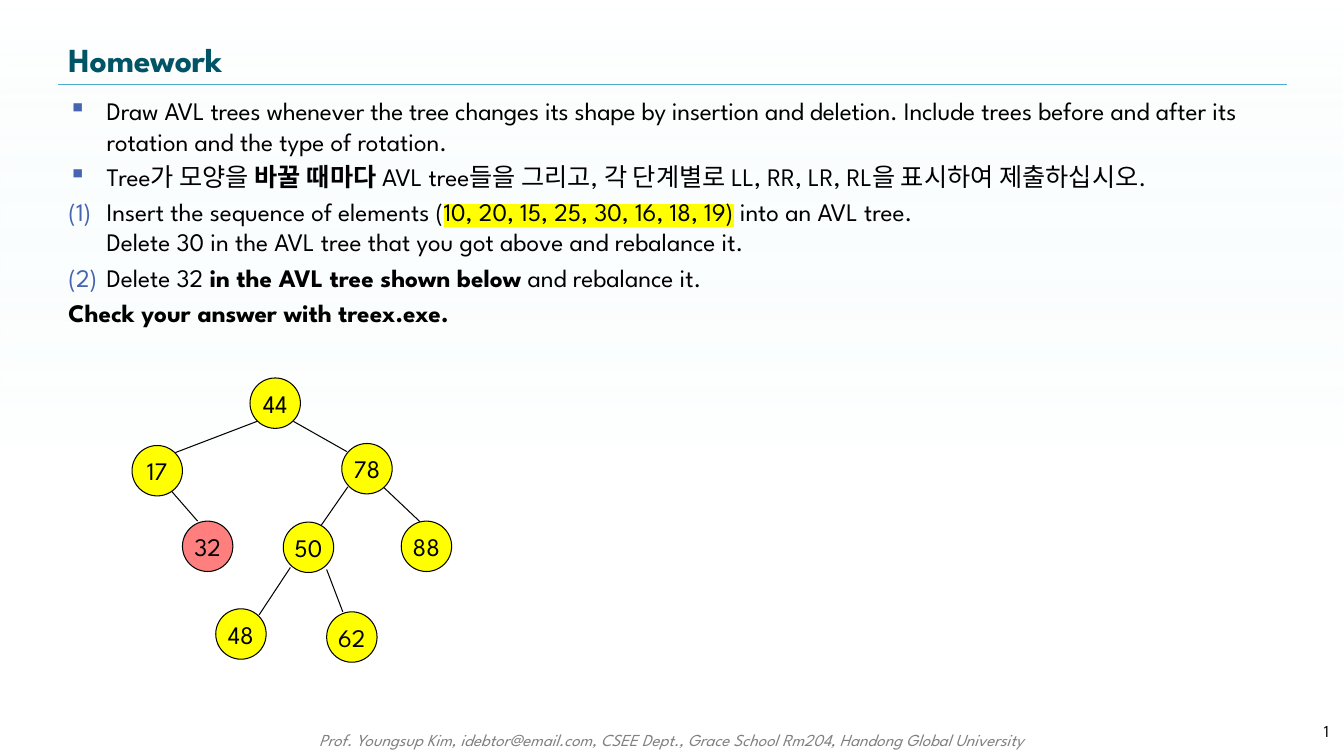
from dataclasses import dataclass

from lxml.etree import SubElement
from pptx import Presentation
from pptx.dml.color import RGBColor
from pptx.enum.shapes import MSO_CONNECTOR, MSO_SHAPE
from pptx.enum.text import MSO_ANCHOR, PP_ALIGN
from pptx.oxml.ns import qn
from pptx.util import Inches, Pt


@dataclass(frozen=True)
class Theme:
    font: str = "League Spartan"
    title: str = "005466"
    text: str = "000000"
    foot: str = "808080"
    bullet: str = "4764B0"
    rule: str = "4FADD1"
    mark: str = "FFFF00"
    node: str = "FFFF00"
    gone: str = "FF0000"
    edge: str = "010101"
    tint: str = "D9F3F4"
    white: str = "FFFFFF"
    head_size: float = 24
    body_size: float = 18
    foot_size: float = 12


THEME = Theme()
TITLE = "Homework"
FOOT = ("Prof. Youngsup Kim, idebtor@email.com, CSEE Dept., "
        "Grace School Rm204, Handong Global University")
PAGE = "1"

# Each paragraph: bullet kind, then (text, style) runs
BODY = [
    ("square", [("Draw AVL trees whenever the tree changes its shape by insertion "
                 "and deletion. Include", "tight"),
                (" trees before and after its rotation and the type of rotation.", "")]),
    ("square", [("Tree가 모양을 ", ""), ("바꿀 때마다 ", "bold"),
                ("AVL tree들을 그리고, 각 단계별로 LL, RR, LR, RL을 "
                 "표시하여 제출하십시오.", "")]),
    ("number", [("Insert the sequence of elements (", ""),
                ("10, 20, 15, 25, 30, 16, 18, 19)", "mark"),
                (" into an AVL tree. \vDelete 30 in the AVL tree that you got above "
                 "and rebalance it.", "")]),
    ("number", [("Delete 32 ", ""), ("in the AVL tree shown below", "bold"),
                (" and rebalance it.", "")]),
    ("", [("Check your answer with treex.exe.", "bold")]),
]

# Node centres and edge ends, in inches
NODES = {
    44: (2.73, 4.0), 17: (1.56, 4.67), 78: (3.64, 4.65), 32: (2.06, 5.42),
    50: (3.06, 5.43), 88: (4.23, 5.42), 48: (2.39, 6.29), 62: (3.49, 6.32),
}
EDGES = [
    (2.55, 4.18, 1.74, 4.49), (2.91, 4.18, 3.44, 4.48),
    (1.69, 4.86, 1.96, 5.17), (3.45, 4.83, 3.18, 5.22),
    (3.8, 4.83, 4.17, 5.18), (2.88, 5.63, 2.57, 6.1),
    (3.24, 5.65, 3.4, 6.07),
]
TARGET = 32
SIZE = 0.5
WIDE, HIGH = 13.33, 7.5
LEFT, SPAN = 0.58, 12.18


def color(code):
    return RGBColor.from_string(code)


def fade(fill, percent):
    """Set the opacity of every colour inside a fill element."""
    for rgb in fill.iter(qn("a:srgbClr")):
        SubElement(rgb, qn("a:alpha"), val=str(percent * 1000))


def style(font, size, code):
    font.name = THEME.font
    font.size = Pt(size)
    font.color.rgb = color(code)


def add_box(slide, x, y, w, h, anchor=MSO_ANCHOR.TOP):
    frame = slide.shapes.add_textbox(*map(Inches, (x, y, w, h))).text_frame
    frame.word_wrap = True
    frame.vertical_anchor = anchor
    return frame


def add_label(slide, box, text, size, code, align, anchor=MSO_ANCHOR.TOP):
    frame = add_box(slide, *box, anchor)
    frame.text = text
    para = frame.paragraphs[0]
    para.alignment = align
    font = para.runs[0].font
    style(font, size, code)
    return font


def add_line(slide, ends, code, width):
    line = slide.shapes.add_connector(MSO_CONNECTOR.STRAIGHT, *map(Inches, ends))
    line.line.color.rgb = color(code)
    line.line.width = Pt(width)
    SubElement(line.element.spPr, qn("a:effectLst"))


def add_bullet(para, kind):
    props = para._p.get_or_add_pPr()
    props.set("marL", str(Inches(0.38)))
    props.set("indent", str(Inches(-0.38)))
    tone = SubElement(props, qn("a:buClr"))
    SubElement(tone, qn("a:srgbClr"), val=THEME.bullet)
    if kind == "square":
        SubElement(props, qn("a:buChar"), char="▪")
    else:
        SubElement(props, qn("a:buAutoNum"), type="arabicParenBoth")


def add_body(slide):
    frame = add_box(slide, LEFT, 0.9, SPAN, 6)
    frame.text = "\n".join("" for _ in BODY)
    for index, (para, (kind, runs)) in enumerate(zip(frame.paragraphs, BODY)):
        if kind:
            add_bullet(para, kind)
        if index:
            para.space_before = Pt(THEME.body_size * 0.2)
        for text, look in runs:
            for part, line in enumerate(text.split("\v")):
                if part:
                    para.add_line_break()
                run = para.add_run()
                run.text = line
                style(run.font, THEME.body_size, THEME.text)
                run.font.bold = look == "bold"
                props = run._r.get_or_add_rPr()
                if look == "tight":
                    props.set("spc", "-10")
                if look == "mark":
                    mark = SubElement(props, qn("a:highlight"))
                    SubElement(mark, qn("a:srgbClr"), val=THEME.mark)
                    props.find(qn("a:solidFill")).addnext(mark)


def add_node(slide, key, x, y):
    box = (x - SIZE / 2, y - SIZE / 2, SIZE, SIZE)
    node = slide.shapes.add_shape(MSO_SHAPE.OVAL, *map(Inches, box))
    node.shadow.inherit = False
    node.fill.solid()
    node.fill.fore_color.rgb = color(THEME.gone if key == TARGET else THEME.node)
    if key == TARGET:
        fade(node.element.spPr.find(qn("a:solidFill")), 50)
    node.line.color.rgb = color(THEME.edge)
    node.line.width = Pt(0.75)
    frame = node.text_frame
    frame.margin_left = frame.margin_right = frame.margin_top = frame.margin_bottom = 0
    frame.vertical_anchor = MSO_ANCHOR.MIDDLE
    frame.word_wrap = False
    frame.text = str(key)
    para = frame.paragraphs[0]
    para.alignment = PP_ALIGN.CENTER
    style(para.runs[0].font, THEME.body_size, THEME.text)


def add_back(slide):
    back = slide.shapes.add_shape(MSO_SHAPE.RECTANGLE, 0, 0, Inches(WIDE), Inches(HIGH))
    back.shadow.inherit = False
    back.line.fill.background()
    back.fill.gradient()
    back.fill.gradient_angle = 270
    tones = [(0, THEME.tint, 0), (0.61, THEME.white, 40)]
    for stop, (place, code, alpha) in zip(back.fill.gradient_stops, tones):
        stop.position = place
        stop.color.rgb = color(code)
    for item, (place, code, alpha) in zip(back.element.spPr.iter(qn("a:gs")), tones):
        fade(item, alpha)


def main():
    deck = Presentation()
    deck.slide_width, deck.slide_height = Inches(WIDE), Inches(HIGH)
    slide = deck.slides.add_slide(deck.slide_layouts[6])
    add_back(slide)
    add_label(slide, (1.98, 7.19, 9.37, 0.3), FOOT, THEME.foot_size, THEME.foot,
              PP_ALIGN.CENTER).italic = True
    add_line(slide, (LEFT, 0.84, LEFT + SPAN, 0.84), THEME.rule, 0.25)
    add_body(slide)
    head = add_label(slide, (LEFT, 0.34, SPAN, 0.5), TITLE, THEME.head_size,
                     THEME.title, PP_ALIGN.LEFT, MSO_ANCHOR.MIDDLE)
    head.bold = True
    head._element.set("spc", "-10")
    add_label(slide, (12.11, 7.05, 1.17, 0.4), PAGE, THEME.foot_size, THEME.text,
              PP_ALIGN.RIGHT, MSO_ANCHOR.MIDDLE)
    for ends in EDGES:
        add_line(slide, ends, THEME.edge, 0.75)
    for key, (x, y) in NODES.items():
        add_node(slide, key, x, y)
    deck.save("out.pptx")


if __name__ == "__main__":
    main()
